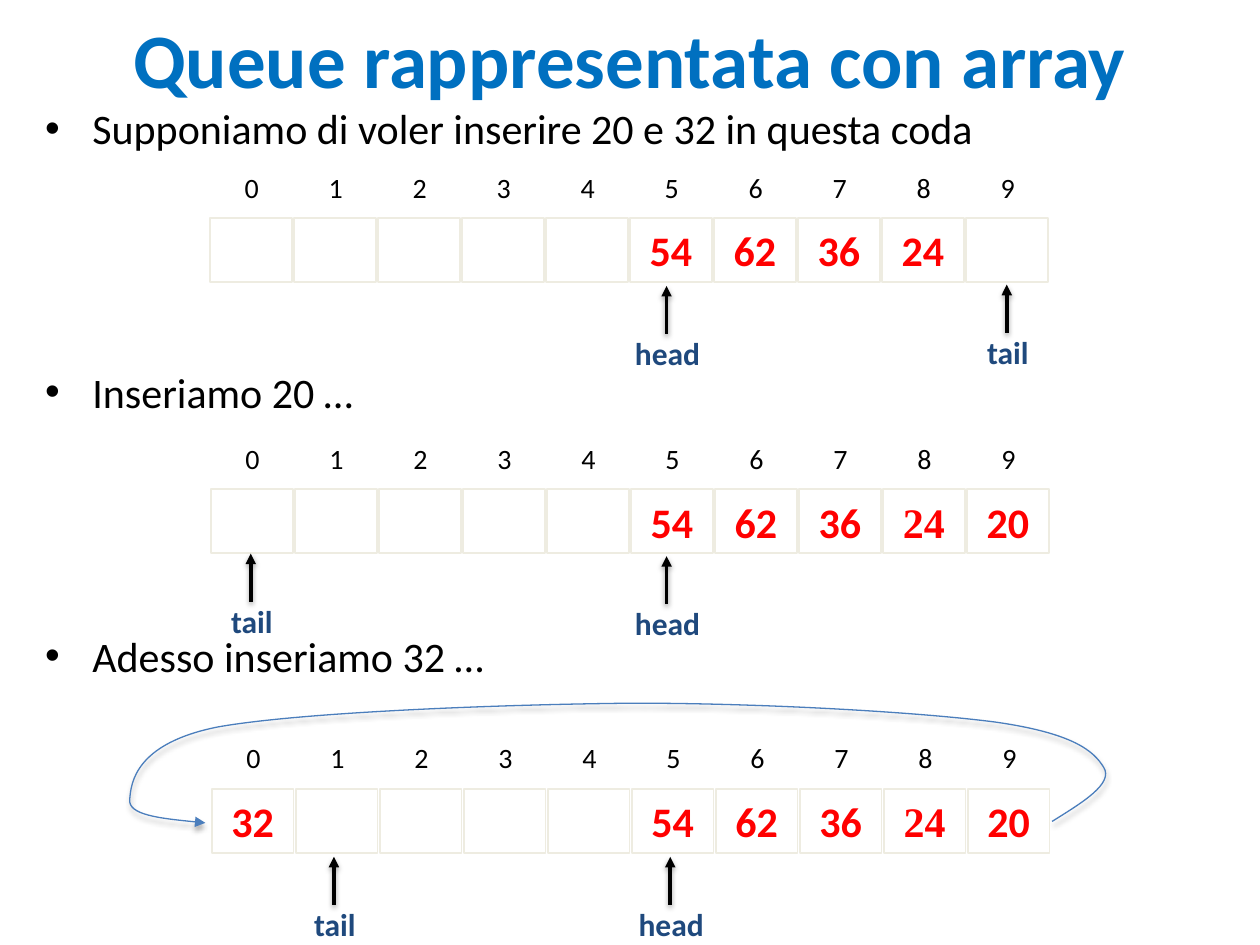
"""Build the slide on a queue stored in a circular array."""
import dataclasses

import pptx
import pptx.dml.color
import pptx.enum.shapes
import pptx.enum.text
import pptx.oxml
import pptx.oxml.ns
import pptx.util

Pt = pptx.util.Pt
ALIGN = pptx.enum.text.PP_ALIGN
MIDDLE = pptx.enum.text.MSO_ANCHOR.MIDDLE
RECTANGLE = pptx.enum.shapes.MSO_SHAPE.RECTANGLE
STRAIGHT = pptx.enum.shapes.MSO_CONNECTOR.STRAIGHT


@dataclasses.dataclass(frozen=True)
class Theme:
    """Colours, fonts and type sizes of the slide."""
    title: str = "0070C0"
    ink: str = "000000"
    paper: str = "FFFFFF"
    border: str = "EEECE1"
    value: str = "FF0000"
    pointer: str = "1F497D"
    wrap_line: str = "4B7EBC"
    font: str = "Calibri"
    serif: str = "Times New Roman"
    title_size: int = 44
    body_size: int = 24
    pointer_size: int = 18
    index_size: int = 16


THEME = Theme()
PITCH, CELL_WIDTH, CELL_HEIGHT, CELL_DROP = 48, 46.8, 36.6, 36
WRAP_CURVE = [
    (480.2, 54.7), (497.5, 43.9), (515.5, 33.1), (509.7, 23.8),
    (504, 14.4), (492.4, 4.3), (447.8, -2.1),
    (403.2, -7.9), (314.6, -12.9), (241.2, -12.9),
    (167, -12.2), (51.8, -7.9), (3.6, 0.7),
    (-44, 10.1), (-46.1, 33.1), (-46.8, 41.8),
    (-48.3, 51.1), (-26, 53.3), (-3.6, 55.5),
]


def color(code):
    """Return the colour for a hex code."""
    return pptx.dml.color.RGBColor.from_string(code)


def element(tag, content="", **attributes):
    """Return a DrawingML element with the given content."""
    fields = "".join(f' {key}="{value}"' for key, value in attributes.items())
    return pptx.oxml.parse_xml(
        f"<a:{tag} {pptx.oxml.ns.nsdecls('a')}{fields}>{content}</a:{tag}>")


def style(paragraph, size, ink, bold=False, font=THEME.font, align=ALIGN.CENTER):
    """Format a paragraph and its runs."""
    paragraph.alignment = align
    for run in paragraph.runs:
        run.font.size, run.font.bold, run.font.name = Pt(size), bold, font
        run.font.color.rgb = color(ink)


def finish_arrow(arrow, ink, width, alpha, distance):
    """Give a line its colour, triangular end and soft shadow."""
    arrow.line.color.rgb, arrow.line.width = color(ink), Pt(width)
    arrow.line._get_or_add_ln().append(element("tailEnd", type="triangle"))
    shade = f'<a:srgbClr val="000000"><a:alpha val="{alpha * 1000}"/></a:srgbClr>'
    shadow = (f'<a:outerShdw blurRad="{Pt(3.1)}" dist="{Pt(distance)}" dir="5400000" '
              f'rotWithShape="0">{shade}</a:outerShdw>')
    for old in arrow._element.spPr.xpath("./a:effectLst"):
        arrow._element.spPr.remove(old)
    arrow._element.spPr.append(element("effectLst", shadow))


def add_title(slide, text, left, top, width, height):
    """Place the title centred in its box."""
    title = slide.shapes.add_textbox(Pt(left), Pt(top), Pt(width), Pt(height)).text_frame
    title.word_wrap, title.vertical_anchor = True, MIDDLE
    title.text = text
    style(title.paragraphs[0], THEME.title_size, THEME.title, bold=True)


def add_steps(slide, steps, left, top, width, height):
    """Place the bulleted steps, spaced to leave room for the arrays."""
    body = slide.shapes.add_textbox(Pt(left), Pt(top), Pt(width), Pt(height)).text_frame
    body.word_wrap = True
    body.text = "\n".join(steps)
    for number, step in enumerate(body.paragraphs):
        style(step, THEME.body_size, THEME.ink, align=ALIGN.LEFT)
        step.space_before = Pt(122 if number else 0)
        properties = step._p.get_or_add_pPr()
        properties.set("marL", str(Pt(27)))
        properties.set("indent", str(Pt(-27)))
        properties.append(element("buFont", typeface="Arial"))
        properties.append(element("buChar", char="•"))


def add_cell(shapes, text, left, top, size, ink, bold=False, font=THEME.font, border=None):
    """Place one square of an array, with or without a border."""
    cell = shapes.add_shape(RECTANGLE, Pt(left), Pt(top), Pt(CELL_WIDTH), Pt(CELL_HEIGHT))
    cell.shadow.inherit = False
    cell.fill.solid()
    cell.fill.fore_color.rgb = color(THEME.paper)
    if border:
        cell.line.color.rgb, cell.line.width = color(border), Pt(1)
    else:
        cell.line.fill.background()
    if text:
        cell.text_frame.text = text
        cell.text_frame.word_wrap = False
        cell.text_frame.vertical_anchor = MIDDLE
        style(cell.text_frame.paragraphs[0], size, ink, bold, font)


def add_pointer(shapes, label, x, tip):
    """Place an upward arrow with its label below."""
    arrow = shapes.add_connector(STRAIGHT, Pt(x), Pt(tip + 27.4), Pt(x), Pt(tip))
    finish_arrow(arrow, THEME.ink, 2, 38, 1.6)
    width = 52 if label == "head" else 38
    name = shapes.add_textbox(Pt(x - width / 2 + 0.6), Pt(tip + 23.8), Pt(width), Pt(29)).text_frame
    name.word_wrap = False
    name.text = label
    style(name.paragraphs[0], THEME.pointer_size, THEME.pointer, bold=True)


def add_array(slide, values, pointers, serif_slots, left, top):
    """Place indices, cells and pointers as one group and return its shapes."""
    shapes = slide.shapes.add_group_shape().shapes
    for slot in range(10):
        add_cell(shapes, str(slot), left + 0.4 + slot * PITCH, top,
                 THEME.index_size, THEME.ink)
    for slot in range(10):
        add_cell(shapes, values.get(slot, ""), left + slot * PITCH, top + CELL_DROP,
                 THEME.body_size, THEME.value, bold=True, border=THEME.border,
                 font=THEME.serif if slot in serif_slots else THEME.font)
    for label, x, tip in pointers:
        add_pointer(shapes, label, left + x, top + tip)
    return shapes


def add_wrap_arrow(shapes, left, top):
    """Draw the curved arrow from the last cell round to the first."""
    start, *rest = [(Pt(left + x), Pt(top + y)) for x, y in WRAP_CURVE]
    outline = shapes.build_freeform(*start)
    outline.add_line_segments(rest, close=False)
    curve = outline.convert_to_shape()
    segments = curve._element.xpath(".//a:lnTo")
    for first in range(0, len(segments), 3):
        bend = element("cubicBezTo")
        segments[first].addprevious(bend)
        for segment in segments[first:first + 3]:
            bend.append(segment[0])
            segment.getparent().remove(segment)
    curve.fill.background()
    finish_arrow(curve, THEME.wrap_line, 0.75, 35, 1.8)


def main():
    """Assemble and save the slide."""
    deck = pptx.Presentation()
    deck.slide_width, deck.slide_height = Pt(720), Pt(540)
    slide = deck.slides.add_slide(deck.slide_layouts[6])
    add_title(slide, "Queue rappresentata con array", 36, 3, 648, 60)
    add_steps(slide, ["Supponiamo di voler inserire 20 e 32 in questa coda",
                      "Inseriamo 20 …", "Adesso inseriamo 32 …"], 18.7, 55, 678, 363)
    queue = {5: "54", 6: "62", 7: "36", 8: "24"}
    with_20 = {**queue, 9: "20"}
    with_32 = {**with_20, 0: "32"}
    add_array(slide, queue, [("head", 260.9, 74.8), ("tail", 455.3, 74.1)], (), 120, 88.6)
    add_array(slide, with_20, [("head", 260.4, 74.2), ("tail", 22.8, 72.8)], (8,), 120.5, 243.6)
    wrapped = add_array(slide, with_32, [("tail", 69.8, 74.9), ("head", 262, 74.9)],
                        (8,), 121, 414.7)
    add_wrap_arrow(wrapped, 121, 414.7)
    deck.save("out.pptx")


if __name__ == "__main__":
    main()
